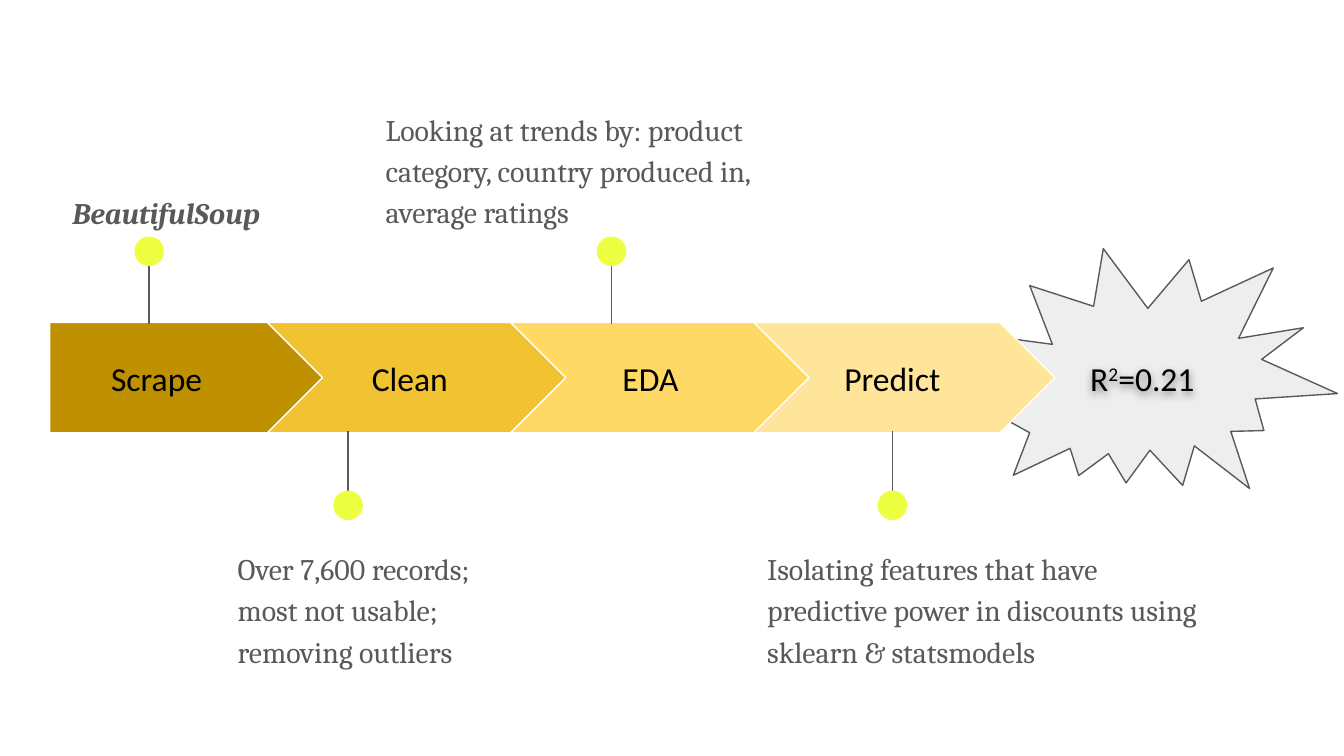
from lxml.etree import SubElement as Sub
from pptx import Presentation as Deck
from pptx.dml.color import RGBColor as Rgb
from pptx.enum.shapes import MSO_CONNECTOR as Link, MSO_SHAPE as Kind
from pptx.enum.text import MSO_ANCHOR as Anchor, PP_ALIGN as Align
from pptx.oxml.ns import qn
from pptx.util import Inches, Pt

HUES = {
    "ink": "000000", "gray": "595959", "pale": "EEEEEE", "white": "FFFFFF",
    "lime": "EEFF41", "scrape": "BF9000", "clean": "F1C232",
    "eda": "FFD966", "predict": "FFE599",
}
WIDE = Inches(10)
TOP, TALL, STEP = 2.4, 0.82, 1.81


def hue(name):
    return Rgb.from_string(HUES[name])


def write(para, text, font="Calibri", size=18, color="ink", bold=None,
          italic=None, base=0):
    run = para.add_run()
    run.text = text
    face = run.font
    face.name, face.size = font, Pt(size)
    face.bold, face.italic = bold, italic
    face.color.rgb = hue(color)
    if base:
        run._r.get_or_add_rPr().set("baseline", str(base * 1000))


class Board:
    def __init__(self, slide):
        self.slide = slide
        self.pad = Inches(0.1)
        self.rule = Pt(0.75)

    def shape(self, kind, box, fill, line=None, turn=0, home=None):
        item = (home or self.slide).shapes.add_shape(kind, *map(Inches, box))
        item.shadow.inherit = False
        item.fill.solid()
        item.fill.fore_color.rgb = hue(fill)
        if line:
            item.line.color.rgb = hue(line)
            item.line.width = self.rule
        else:
            item.line.fill.background()
        item.rotation = turn

    def box(self, area, anchor):
        item = self.slide.shapes.add_textbox(*map(Inches, area))
        frame = item.text_frame
        frame.word_wrap = True
        frame.vertical_anchor = anchor
        frame.margin_left = frame.margin_right = self.pad
        frame.margin_top = frame.margin_bottom = self.pad
        return item, frame.paragraphs[0]

    def label(self, left, *parts, width=1.44):
        item, para = self.box((left, 2.56, width, 0.51), Anchor.MIDDLE)
        para.alignment = Align.CENTER
        for text, base in parts:
            write(para, text, base=base)
        return item

    def shade(self, item):
        glow = Sub(item._element.spPr, qn("a:effectLst"))
        drop = Sub(glow, qn("a:outerShdw"), blurRad="57150", dist="19050",
                   dir="5400000", algn="bl", rotWithShape="0")
        tint = Sub(drop, qn("a:srgbClr"), val=HUES["ink"])
        Sub(tint, qn("a:alpha"), val="50000")

    def note(self, area, text, **style):
        para = self.box(area, Anchor.TOP)[1]
        para.line_spacing = 1.15
        para.space_after = Pt(16)
        write(para, text, font="Cambria", size=16, color="gray", **style)

    def pin(self, mid, above):
        group = self.slide.shapes.add_group_shape()
        start, end, dot = (1.8, 2.41, 1.76) if above else (3.82, 3.21, 3.65)
        ends = map(Inches, (mid, start, mid, end))
        stem = group.shapes.add_connector(Link.STRAIGHT, *ends)
        stem.line.color.rgb = hue("gray")
        stem.line.width = self.rule
        Sub(stem._element.spPr, qn("a:effectLst"))
        self.shape(Kind.OVAL, (mid - 0.11, dot, 0.22, 0.22), "lime", home=group)


def main():
    deck = Deck()
    deck.slide_width, deck.slide_height = WIDE, WIDE * 9 // 16
    board = Board(deck.slides.add_slide(deck.slide_layouts[6]))
    board.shape(Kind.EXPLOSION2, (7.33, 1.72, 2.56, 2.18), "pale", "gray", 23.2)

    board.shape(Kind.PENTAGON, (0.37, TOP, 2.05, TALL), "scrape", "white")
    board.label(0.37, ("Scrape", 0), width=1.59)
    board.pin(1.11, True)
    board.note((0.44, 1.31, 1.89, 0.6), "BeautifulSoup", bold=True, italic=True)

    steps = [
        ("Clean", 2.33, 2.59, (1.67, 3.96, 2.32, 1.4),
         "Over 7,600 records; most not usable; removing outliers"),
        ("EDA", 4.12, 4.55, (2.77, 0.69, 3.55, 1.07),
         "Looking at trends by: product category, country produced in, "
         "average ratings"),
        ("Predict", 5.92, 6.64, (5.61, 3.96, 3.43, 0.99),
         "Isolating features that have predictive power in discounts using "
         "sklearn & statsmodels"),
    ]
    for i, (name, left, mid, area, text) in enumerate(steps):
        spot = (1.99 + i * STEP, TOP, 2.24, TALL)
        board.shape(Kind.CHEVRON, spot, name.lower(), "white")
        board.label(left, (name, 0))
        board.pin(mid, area[1] < TOP)
        board.note(area, text)

    score = board.label(7.78, ("R", 0), ("2", 30), ("=0.21", 0))
    board.shade(score)
    deck.save("out.pptx")


if __name__ == "__main__":
    main()
